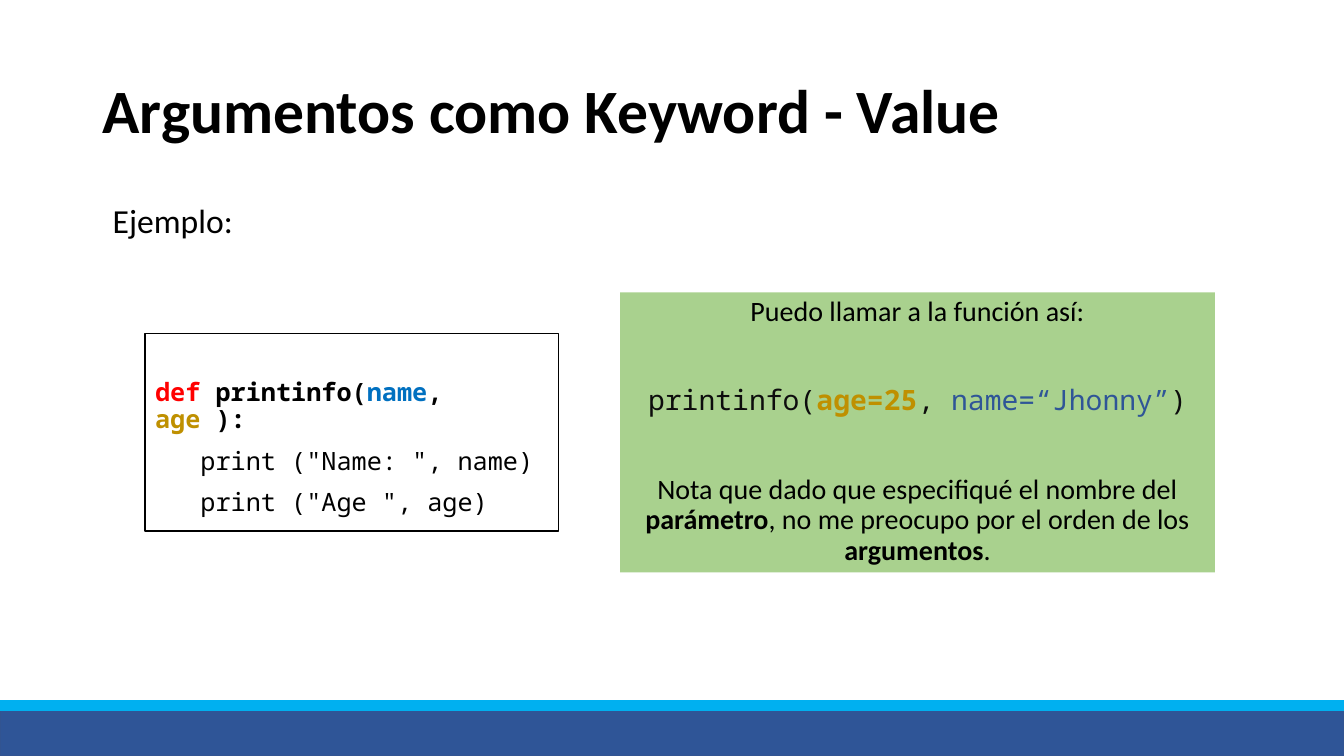
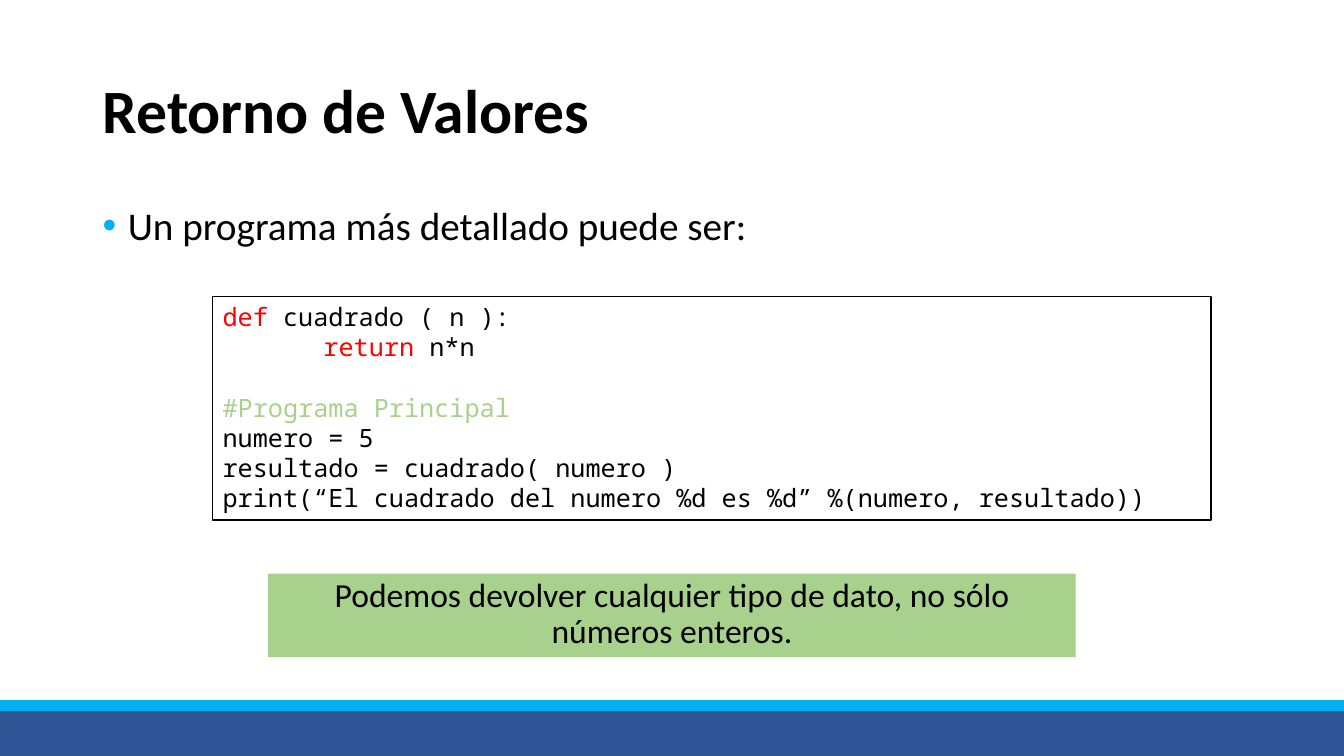
from pptx import Presentation
from pptx import util as u
from pptx.dml.color import RGBColor
from pptx.enum import shapes, text
from pptx.oxml import parse_xml
from pptx.oxml.ns import nsdecls


class Theme:
    black, white, red = "000000", "FFFFFF", "FF0000"
    cyan, navy, navy_edge = "00B0F0", "2F5597", "325491"
    blue, gold, green, ink = "0070C0", "BF9000", "A9D18E", "0D0D0D"
    sans, mono = "Calibri", "Noto Sans Mono"
    title, bullet, lead, note, code = 44, 28, 24, 20, 18


T = Theme

# Content: a run is (text, colour, bold)
# A paragraph is a dict of its runs and its own settings
BANDS = [((0, 7.03, 13.33, 0.47), T.navy, T.navy_edge),
         ((0, 6.95, 13.33, 0.1), T.cyan, T.cyan)]

PRINTINFO = [
    dict(runs=[("def ", T.red, True), ("printinfo(", T.black, True), ("name", T.blue, True),
               (", ", T.black, True), ("age", T.gold, True), (" ):", T.black, True)]),
    dict(runs=[('print ("Name: ", name)', T.black, False)], left=0.45),
    dict(runs=[('print ("Age ", age)', T.black, False)], left=0.45),
]
CALL = [
    dict(runs=[("Puedo llamar a la función así:", T.black, False)]),
    dict(runs=[("printinfo(", T.ink, False), ("age=25", T.gold, True), (", ", T.ink, False),
               ("name=“Jhonny”", T.navy, False), (")", T.ink, False)],
         font=T.mono, before=42),
    dict(runs=[("Nota que dado que especifiqué el nombre del ", T.black, False),
               ("parámetro", T.black, True),
               (", no me preocupo por el orden de los ", T.black, False),
               ("argumentos", T.black, True), (".", T.black, False)], before=42),
]
CUADRADO = [
    dict(runs=[("def ", T.red, False), ("cuadrado ( n ):", T.black, False)]),
    dict(runs=[("return", T.red, False), (" n*n", T.black, False)], left=1),
    dict(runs=[("#Programa Principal", T.green, False)], before=21.5),
    dict(runs=[("numero = 5", T.black, False)]),
    dict(runs=[("resultado = cuadrado( numero )", T.black, False)]),
    dict(runs=[("print(“El cuadrado del numero %d es %d” %(numero, resultado))",
                T.black, False)]),
]


def plain(words, bold=False):
    return [dict(runs=[(words, T.black, bold)])]


# Drawing helpers
def rgb(value):
    return RGBColor.from_string(value)


def add_rect(s, at, fill, line=None):
    sp = s.shapes.add_shape(shapes.MSO_SHAPE.RECTANGLE, *map(u.Inches, at))
    sp.shadow.inherit = False
    sp.fill.solid()
    sp.fill.fore_color.rgb = rgb(fill)
    if line:
        sp.line.color.rgb = rgb(line)
        sp.line.width = u.Pt(1)
    else:
        sp.line.fill.background()
    return sp


def add_bullet(p):
    pr = p._p.get_or_add_pPr()
    pr.set("marL", str(u.Inches(0.25)))
    pr.set("indent", str(-u.Inches(0.25)))
    for xml in (f'<a:buClr {nsdecls("a")}><a:srgbClr val="{T.cyan}"/></a:buClr>',
                f'<a:buFont {nsdecls("a")} typeface="Arial"/>',
                f'<a:buChar {nsdecls("a")} char="•"/>'):
        pr.append(parse_xml(xml))


def write(sp, paragraphs, size, font=T.sans, align=text.PP_ALIGN.LEFT, spacing=0.9,
          before=10, anchor=text.MSO_ANCHOR.TOP, wrap=True, bullet=False):
    tf = sp.text_frame
    tf.word_wrap = wrap
    tf.vertical_anchor = anchor
    for i, item in enumerate(paragraphs):
        p = tf.add_paragraph() if i else tf.paragraphs[0]
        p.alignment = align
        p.line_spacing = spacing
        p.space_before = u.Pt(item.get("before", before) if i else 0)
        if "left" in item:
            p._p.get_or_add_pPr().set("marL", str(u.Inches(item["left"])))
        if bullet:
            add_bullet(p)
        for words, color, bold in item["runs"]:
            r = p.add_run()
            r.text = words
            r.font.name = item.get("font", font)
            r.font.size = u.Pt(size)
            r.font.bold = bold
            r.font.color.rgb = rgb(color)
    return tf


def add_text(s, at, paragraphs, size, **style):
    return write(s.shapes.add_textbox(*map(u.Inches, at)), paragraphs, size, **style)


def add_code(s, at, paragraphs, **style):
    return write(add_rect(s, at, T.white, T.black), paragraphs, T.code, T.mono, **style)


def add_note(s, at, paragraphs, size):
    write(add_rect(s, at, T.green), paragraphs, size, align=text.PP_ALIGN.CENTER)


def add_slide(prs, title):
    s = prs.slides.add_slide(prs.slide_layouts[6])
    for at, fill, line in BANDS:
        add_rect(s, at, fill, line)
    add_text(s, (0.92, 0.4, 11.5, 1.45), plain(title, True), T.title,
             anchor=text.MSO_ANCHOR.MIDDLE)
    return s


def main():
    prs = Presentation()
    prs.slide_width, prs.slide_height = u.Inches(13.33), u.Inches(7.5)

    # Keyword arguments
    s = add_slide(prs, "Argumentos como Keyword - Value")
    tf = add_code(s, (1.44, 3.31, 4.1, 1.96), PRINTINFO)
    tf.margin_top, tf.margin_right = u.Inches(0.46), u.Inches(0.15)
    add_note(s, (6.15, 2.9, 5.9, 2.78), CALL, T.note)
    add_text(s, (1.02, 1.93, 1.4, 0.5), plain("Ejemplo:"), T.lead, spacing=1, wrap=False)

    # Return values
    s = add_slide(prs, "Retorno de Valores")
    add_text(s, (0.92, 2, 11.5, 0.6), plain("Un programa más detallado puede ser:"),
             T.bullet, bullet=True)
    add_code(s, (2.11, 2.94, 9.9, 2.22), CUADRADO, spacing=1, before=0)
    add_note(s, (2.66, 5.69, 8.01, 0.83),
             plain("Podemos devolver cualquier tipo de dato, no sólo números enteros."), T.lead)

    prs.save("out.pptx")


if __name__ == "__main__":
    main()
